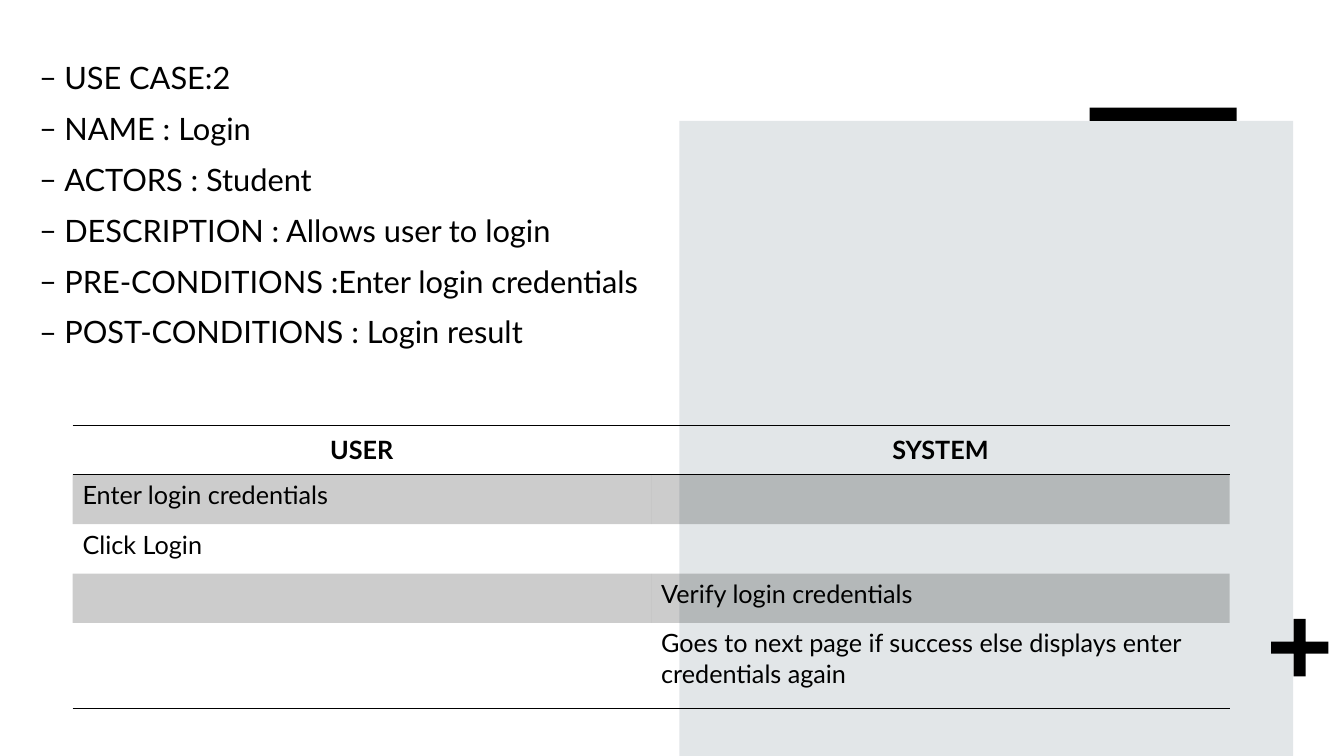
from lxml.etree import SubElement
from pptx import Presentation
from pptx.dml.color import RGBColor
from pptx.enum.shapes import MSO_SHAPE
from pptx.enum.text import MSO_ANCHOR, PP_ALIGN
from pptx.oxml import parse_xml
from pptx.oxml.ns import nsdecls, qn
from pptx.util import Pt

COLOURS = {"ink": "000000", "panel": "E2E6E8"}
FONT = "Lato"
NO_GRID_STYLE = "{2D5ABB26-0587-4C30-8999-92F81FD0307C}"

DETAILS = [
    "USE CASE:2",
    "NAME : Login",
    "ACTORS : Student",
    "DESCRIPTION : Allows user to login",
    "PRE-CONDITIONS :Enter login credentials",
    "POST-CONDITIONS : Login result",
]
STEPS = [
    ("USER", "SYSTEM"),
    ("Enter login credentials", ""),
    ("Click Login", ""),
    ("", "Verify login credentials"),
    ("", "Goes to next page if success else displays enter credentials again"),
]
ROW_HEIGHTS = [35.3, 35.3, 35.3, 35.3, 61.2]


def write_text(para, text, size=18, bold=False, align=PP_ALIGN.LEFT, before=0):
    para.alignment = align
    para.space_before = Pt(before)
    span = para.add_run()
    span.text = text
    span.font.name = FONT
    span.font.size = Pt(size)
    span.font.bold = bold
    span.font.color.rgb = RGBColor.from_string(COLOURS["ink"])


class SlideBuilder:
    def __init__(self, deck):
        self.page = deck.slides.add_slide(deck.slide_layouts[6])

    def shape(self, kind, bounds, colour, adjustment=None):
        shape = self.page.shapes.add_shape(kind, *map(Pt, bounds))
        shape.shadow.inherit = False
        shape.fill.solid()
        shape.fill.fore_color.rgb = RGBColor.from_string(COLOURS[colour])
        shape.line.fill.background()
        if adjustment is not None:
            shape.adjustments[0] = adjustment

    def dash_list(self, bounds, lines):
        box = self.page.shapes.add_textbox(*map(Pt, bounds))
        frame = box.text_frame
        frame.word_wrap = True
        for index, line in enumerate(lines):
            para = frame.add_paragraph() if index else frame.paragraphs[0]
            write_text(para, line, size=22, before=10)
            properties = para._p.get_or_add_pPr()
            properties.set("marL", str(Pt(18)))
            properties.set("indent", str(Pt(-18)))
            SubElement(properties, qn("a:buFont"), typeface=FONT)
            SubElement(properties, qn("a:buChar"), char="–")

    def table(self, bounds, rows, heights):
        frame = self.page.shapes.add_table(len(rows), len(rows[0]), *map(Pt, bounds))
        table = frame.table
        table._tbl.tblPr.find(qn("a:tableStyleId")).text = NO_GRID_STYLE
        for row_index, texts in enumerate(rows):
            table.rows[row_index].height = Pt(heights[row_index])
            header = row_index == 0
            for column_index, text in enumerate(texts):
                cell = table.cell(row_index, column_index)
                if text:
                    align = PP_ALIGN.CENTER if header else PP_ALIGN.LEFT
                    write_text(cell.text_frame.paragraphs[0], text, bold=header, align=align)
                cell.vertical_anchor = MSO_ANCHOR.MIDDLE if header else MSO_ANCHOR.TOP
                self.shade(cell, row_index % 2 == 1)
                if header:
                    self.rule(cell, "lnT", "lnB")
                elif row_index == len(rows) - 1:
                    self.rule(cell, "lnB")

    def shade(self, cell, banded):
        if not banded:
            cell.fill.background()
            return
        cell.fill.solid()
        cell.fill.fore_color.rgb = RGBColor.from_string(COLOURS["ink"])
        colour = cell._tc.tcPr.find(".//" + qn("a:srgbClr"))
        SubElement(colour, qn("a:alpha"), val="20000")

    def rule(self, cell, *sides):
        properties = cell._tc.get_or_add_tcPr()
        for position, side in enumerate(sides):
            border = parse_xml(
                f'<a:{side} {nsdecls("a")} w="{Pt(1)}"><a:solidFill>'
                f'<a:srgbClr val="{COLOURS["ink"]}"/></a:solidFill></a:{side}>'
            )
            properties.insert(position, border)


def main():
    deck = Presentation()
    deck.slide_width, deck.slide_height = Pt(960), Pt(540)
    builder = SlideBuilder(deck)
    builder.shape(MSO_SHAPE.RECTANGLE, (485.3, 86.4, 438.5, 453.6), "panel")
    builder.shape(MSO_SHAPE.CROSS, (907.9, 442.1, 41, 41), "ink", adjustment=0.395)
    builder.shape(MSO_SHAPE.RECTANGLE, (778.3, 77, 105.1, 9.4), "ink")
    builder.dash_list((20.9, 38.2, 887.8, 391.7), DETAILS)
    builder.table((51.8, 303.8, 826.6, sum(ROW_HEIGHTS)), STEPS, ROW_HEIGHTS)
    deck.save("out.pptx")


if __name__ == "__main__":
    main()
